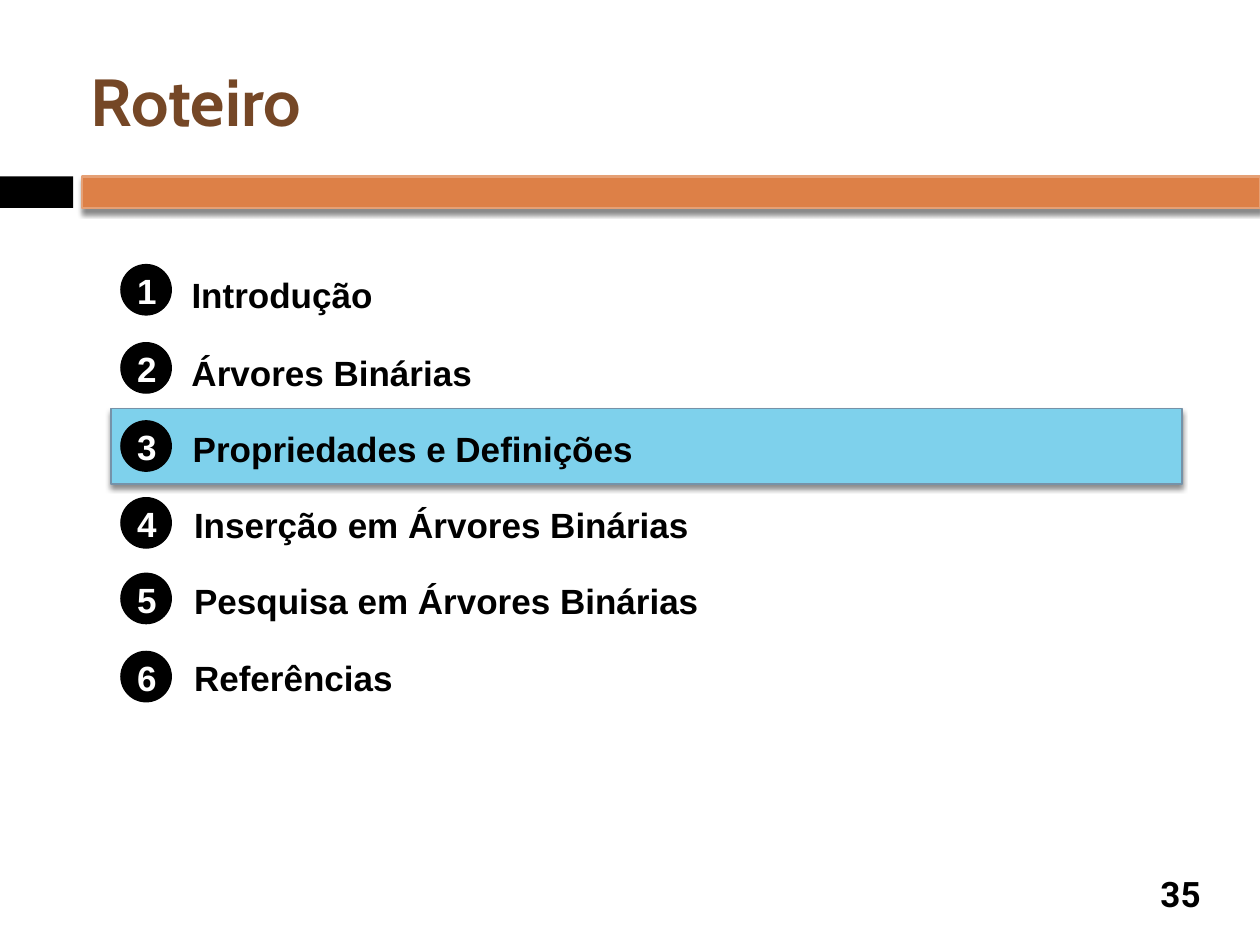
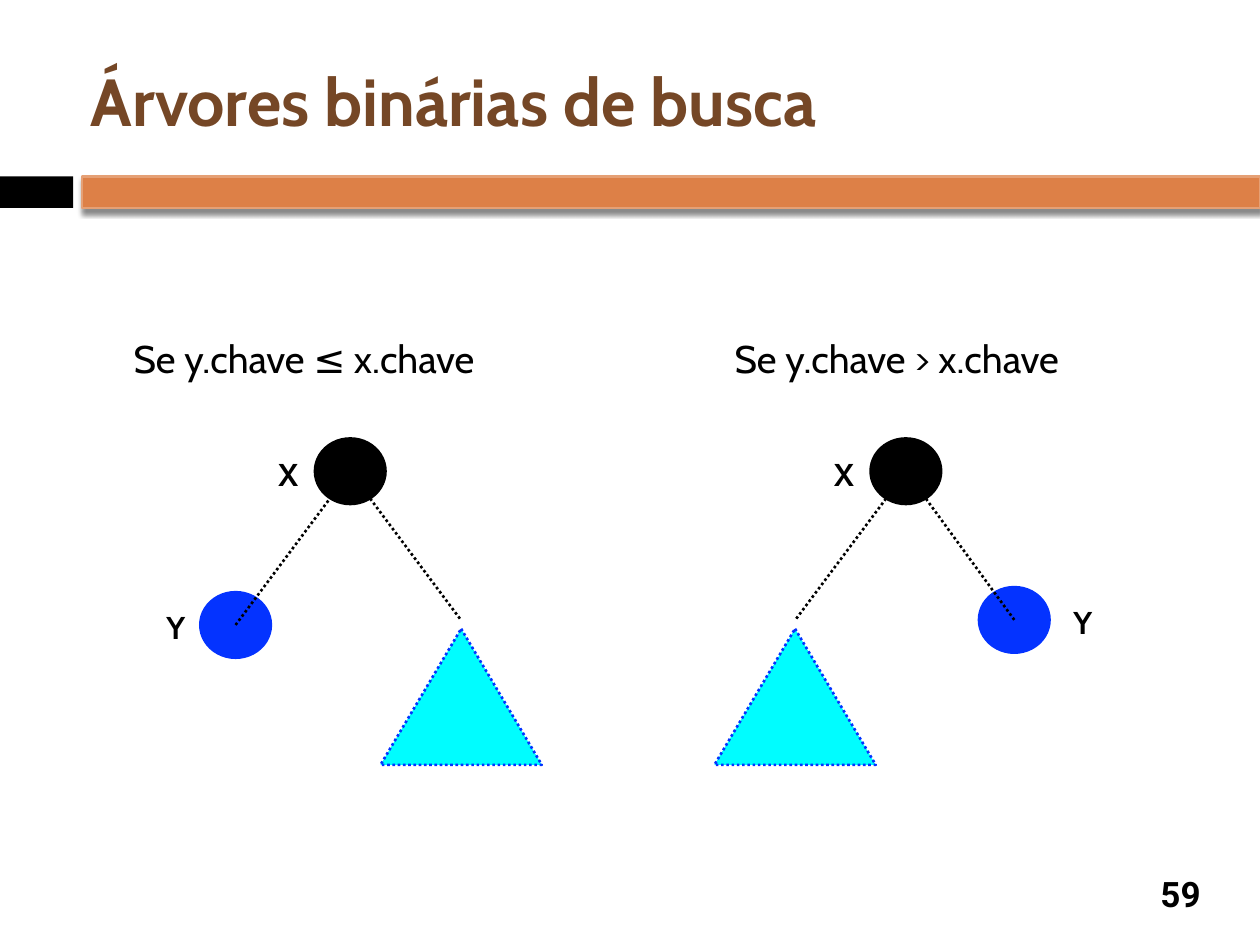
from lxml.etree import SubElement
from pptx import Presentation
from pptx.dml.color import RGBColor
from pptx.enum.dml import MSO_LINE as Dash
from pptx.enum.shapes import MSO_CONNECTOR as Connector, MSO_SHAPE as Shape
from pptx.enum.text import MSO_ANCHOR as Anchor, MSO_AUTO_SIZE as AutoSize, PP_ALIGN as Align
from pptx.oxml.ns import qn
from pptx.util import Pt

PX = 9144
BLACK, WHITE, BROWN = "000000", "FFFFFF", "754726"
ORANGE, PEACH = "DD8047", "E5A075"
SKY, STEEL = "7ED1EC", "7692A8"
BLUE, CYAN = "0433FF", "00FDFF"


def color(value):
    return RGBColor.from_string(value)


def px(*lengths):
    return [length * PX for length in lengths]


class Deck:
    def __init__(self):
        self.prs = Presentation()
        self.prs.slide_width, self.prs.slide_height = px(1000, 750)
        self.shapes = None

    def slide(self, title, number):
        self.shapes = self.prs.slides.add_slide(self.prs.slide_layouts[6]).shapes
        self.shape(Shape.RECTANGLE, (0, 140, 58, 25), BLACK)
        band = self.shape(Shape.RECTANGLE, (65, 140, 935, 25), ORANGE, PEACH, 1.5)
        self.cast_shadow(band)
        self.text(title, (67, 25, 892, 108), 38, "Cabin", BROWN, anchor=Anchor.MIDDLE, wrap=True)
        self.text(number, (908, 689, 58, 41), 20, "Roboto", align=Align.CENTER,
                  anchor=Anchor.MIDDLE, wrap=True)

    def paint(self, shape, fill, line=None, width=0.75, dash=None):
        shape.fill.solid()
        shape.fill.fore_color.rgb = color(fill)
        if line:
            self.stroke(shape.line, line, width, dash)
        else:
            shape.line.fill.background()
        shape.shadow.inherit = False
        return shape

    def stroke(self, line, value, width, dash=None):
        line.color.rgb = color(value)
        line.width = Pt(width)
        if dash:
            line.dash_style = dash

    def shape(self, kind, box, fill, line=None, width=0.75):
        return self.paint(self.shapes.add_shape(kind, *px(*box)), fill, line, width)

    def cast_shadow(self, shape):
        effects = shape.element.spPr.find(qn("a:effectLst"))
        shadow = SubElement(effects, qn("a:outerShdw"), blurRad=str(Pt(3)), dist=str(Pt(2.4)),
                            dir="5400000", rotWithShape="0")
        tint = SubElement(shadow, qn("a:srgbClr"), val=BLACK)
        SubElement(tint, qn("a:alpha"), val="45000")

    def text(self, words, box, size, font, fill=BLACK, bold=True, align=Align.LEFT,
             anchor=Anchor.TOP, wrap=False, indent=0):
        frame = self.shapes.add_textbox(*px(*box)).text_frame
        frame.margin_left = (5 + indent) * PX
        frame.margin_top = frame.margin_right = frame.margin_bottom = 5 * PX
        frame.word_wrap = wrap
        frame.auto_size = AutoSize.NONE if wrap else AutoSize.SHAPE_TO_FIT_TEXT
        frame.vertical_anchor = anchor
        paragraph = frame.paragraphs[0]
        paragraph.text = words
        paragraph.alignment = align
        paragraph.font.size = Pt(size)
        paragraph.font.name = font
        paragraph.font.bold = bold
        paragraph.font.color.rgb = color(fill)

    def bullet(self, number, top):
        self.shape(Shape.OVAL, (96, top, 40, 40), BLACK, BLACK)
        self.text(str(number), (103, top, 27, 41), 20, "Arial", WHITE,
                  align=Align.CENTER, anchor=Anchor.MIDDLE)

    def node(self, x, y, fill):
        self.shape(Shape.OVAL, (x - 28, y - 26, 56, 52), fill, fill, 1.5)

    def subtree(self, x, top):
        outline = self.shapes.build_freeform(x, top, scale=PX)
        outline.add_line_segments([(x + 64, top + 108), (x - 64, top + 108)], close=True)
        self.paint(outline.convert_to_shape(), CYAN, BLUE, 1.5, Dash.ROUND_DOT)

    def edge(self, start, end):
        edge = self.shapes.add_connector(Connector.STRAIGHT, *px(*start, *end))
        self.stroke(edge.line, BLACK, 1.5, Dash.ROUND_DOT)
        SubElement(edge.element.spPr, qn("a:effectLst"))

    def tree(self, condition, condition_left, x, child, side):
        root_y = 374
        child_x, child_y = child
        self.text(condition, (condition_left, 261, 361, 54), 22, "Cabin", bold=False,
                  wrap=True, indent=40)
        self.node(x, root_y, BLACK)
        self.node(child_x, child_y, BLUE)
        self.text("X", (x - 62, root_y - 18, 27, 36), 18, "Cabin")
        label_left = child_x + (42 if side > 0 else -60)
        self.text("Y", (label_left, child_y - 18, 26, 36), 18, "Cabin")
        self.edge(child, (x, root_y))
        self.edge((x - side * 87, 491), (x - side * 16, 396))
        self.subtree(x - side * 88, 499)


def main():
    deck = Deck()

    deck.slide("Roteiro", "35")
    topics = [
        ("Introdução", 210, 147, 212, 155),
        ("Árvores Binárias", 272, 147, 274, 234),
        ("Propriedades e Definições", 334, 148, 334, 360),
        ("Inserção em Árvores Binárias", 395, 149, 395, 403),
        ("Pesquisa em Árvores Binárias", 455, 149, 455, 411),
        ("Referências", 517, 149, 516, 169),
    ]
    current = deck.shape(Shape.ROUNDED_RECTANGLE, (88, 324, 850, 60), SKY, STEEL, 0.79)
    current.adjustments[0] = 0
    deck.cast_shadow(current)
    for number, (topic, bullet_top, left, top, width) in enumerate(topics, 1):
        deck.bullet(number, bullet_top)
        deck.text(topic, (left, top, width, 41), 20, "Arial")

    deck.slide("Árvores binárias de busca", "59")
    deck.tree("Se y.chave ≤ x.chave", 61, 278, (187, 496), -1)
    deck.tree("Se y.chave > x.chave", 538, 719, (805, 492), 1)

    deck.prs.save("out.pptx")


if __name__ == "__main__":
    main()
